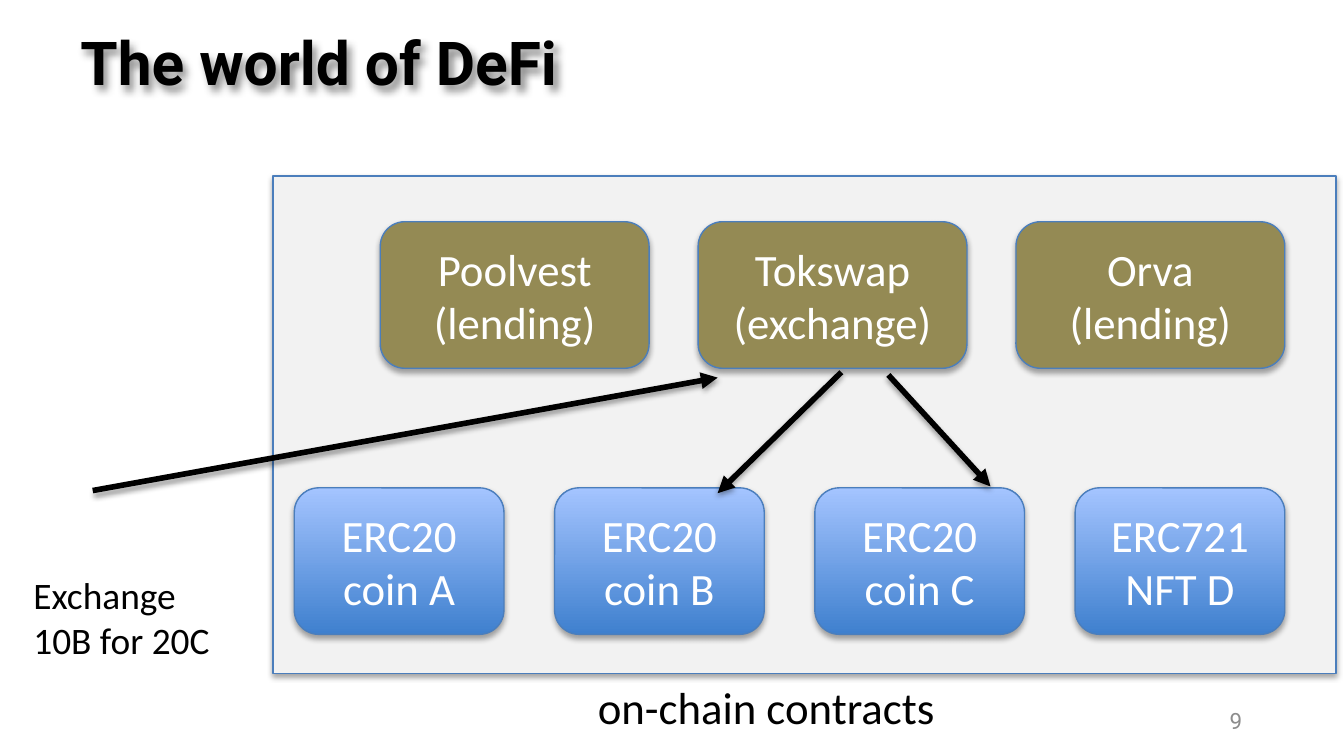
from lxml import etree
from pptx import Presentation
from pptx import util as u
from pptx.dml.color import RGBColor
from pptx.enum import shapes, text
from pptx.oxml.ns import qn

# Content
TITLE = "The world of DeFi"
SERVICES = [("Poolvest", "(lending)"), ("Tokswap", "(exchange)"), ("Orva", "(lending)")]
COINS = ["ERC20\ncoin A", "ERC20\ncoin B", "ERC20\ncoin C", "ERC721\nNFT D"]
PANEL_LABEL = "on-chain contracts"
REQUEST = "Exchange\n10B for 20C"
PAGE = "9"
ARROWS = [  # from, to
    ((6.61, 2.79), (7.37, 3.62)),  # exchange to coin C
    ((6.26, 2.77), (5.34, 3.67)),  # exchange to coin B
    ((0.69, 3.65), (5.34, 2.81)),  # request to exchange
]

THEME = dict(
    heading="Roboto", body="Calibri",
    title=32.4, box=24, note=20, page=12,
    ink="000000", light="FFFFFF", grey="8C8C8C",
    panel="F2F2F2", outline="4B7EBC", service="948A54",
    coin=("3F80CE", "A4C4FF"),
)

# Layout: left, top, width, height; rows run from first left to last right edge
WIDTH = 10
HEIGHT = WIDTH * 9 / 16
PANEL = (2.03, 1.31, 7.91, 3.7)
ROW_RIGHT, BOX_H = 9.56, 1.09
SERVICE_ROW = dict(left=2.83, top=1.65, width=2)
COIN_ROW = dict(left=2.19, top=3.63, width=1.56)


def rgb(name):
    return RGBColor.from_string(THEME[name])


def add_shadow(sp, alpha=35, blur=3.1, dist=1.8, angle=90):
    props = sp._element.spPr
    effects = props.find(qn("a:effectLst"))
    if effects is None:
        effects = etree.SubElement(props, qn("a:effectLst"))
    shadow = etree.SubElement(
        effects, qn("a:outerShdw"), blurRad=str(u.Pt(blur)), dist=str(u.Pt(dist)),
        dir=str(angle * 60000), algn="tl", rotWithShape="0")
    color = etree.SubElement(shadow, qn("a:srgbClr"), val=THEME["ink"])
    etree.SubElement(color, qn("a:alpha"), val=str(alpha * 1000))


def write(sp, paragraphs, size="box", color="ink", font="body", bold=False,
          align=None, anchor=text.MSO_ANCHOR.TOP, wrap=True):
    tf = sp.text_frame
    tf.word_wrap, tf.vertical_anchor = wrap, anchor
    for i, line in enumerate(paragraphs):
        p = tf.add_paragraph() if i else tf.paragraphs[0]
        p.text, p.alignment = line, align
        for r in p.runs:
            f = r.font
            f.name, f.size, f.bold = THEME[font], u.Pt(THEME[size]), bold
            f.color.rgb = rgb(color)


def add_label(s, at, content, **fmt):
    sp = s.shapes.add_textbox(*map(u.Inches, at))
    write(sp, [content], **fmt)
    return sp


def add_box(s, kind, at, fill):
    sp = s.shapes.add_shape(kind, *map(u.Inches, at))
    if isinstance(THEME[fill], tuple):
        sp.fill.gradient()
        sp.fill.gradient_angle = 90
        for stop, color, pos in zip(sp.fill.gradient_stops, THEME[fill], (0, 1)):
            stop.color.rgb = RGBColor.from_string(color)
            stop.position = pos
    else:
        sp.fill.solid()
        sp.fill.fore_color.rgb = rgb(fill)
    sp.line.color.rgb, sp.line.width = rgb("outline"), u.Pt(0.75)
    sp.shadow.inherit = False
    add_shadow(sp)
    return sp


def add_row(s, items, fill, left, top, width):
    step = (ROW_RIGHT - width - left) / (len(items) - 1)
    for i, paragraphs in enumerate(items):
        sp = add_box(s, shapes.MSO_SHAPE.ROUNDED_RECTANGLE,
                     (left + i * step, top, width, BOX_H), fill)
        write(sp, paragraphs, color="light", align=text.PP_ALIGN.CENTER,
              anchor=text.MSO_ANCHOR.MIDDLE)


def add_arrow(s, start, end):
    c = s.shapes.add_connector(shapes.MSO_CONNECTOR.STRAIGHT,
                               *map(u.Inches, start + end))
    c.line.color.rgb, c.line.width = rgb("ink"), u.Pt(3)
    ln = c._element.spPr.find(qn("a:ln"))
    etree.SubElement(ln, qn("a:tailEnd"), type="triangle")
    add_shadow(c, alpha=38, dist=1.6)


def main():
    prs = Presentation()
    prs.slide_width, prs.slide_height = u.Inches(WIDTH), u.Inches(HEIGHT)
    s = prs.slides.add_slide(prs.slide_layouts[6])

    # Panel and title
    add_box(s, shapes.MSO_SHAPE.RECTANGLE, PANEL, "panel")
    title = add_label(s, (0.5, 0.14, 9, 0.68), TITLE, size="title",
                      font="heading", bold=True)
    add_shadow(title, alpha=43, blur=4, dist=3, angle=45)

    # Contracts
    add_row(s, [[coin] for coin in COINS], "coin", **COIN_ROW)
    add_row(s, SERVICES, "service", **SERVICE_ROW)

    # Labels
    add_label(s, (4.35, 5.01, 2.73, 0.5), PANEL_LABEL, wrap=False)
    add_label(s, (0.15, 4.21, 1.52, 0.77), REQUEST, size="note", wrap=False)

    # Arrows and page number
    for start, end in ARROWS:
        add_arrow(s, start, end)
    add_label(s, (9.05, 5.21, 0.45, 0.3), PAGE, size="page", color="grey",
              font="heading", anchor=text.MSO_ANCHOR.MIDDLE)

    prs.save("out.pptx")


if __name__ == "__main__":
    main()
